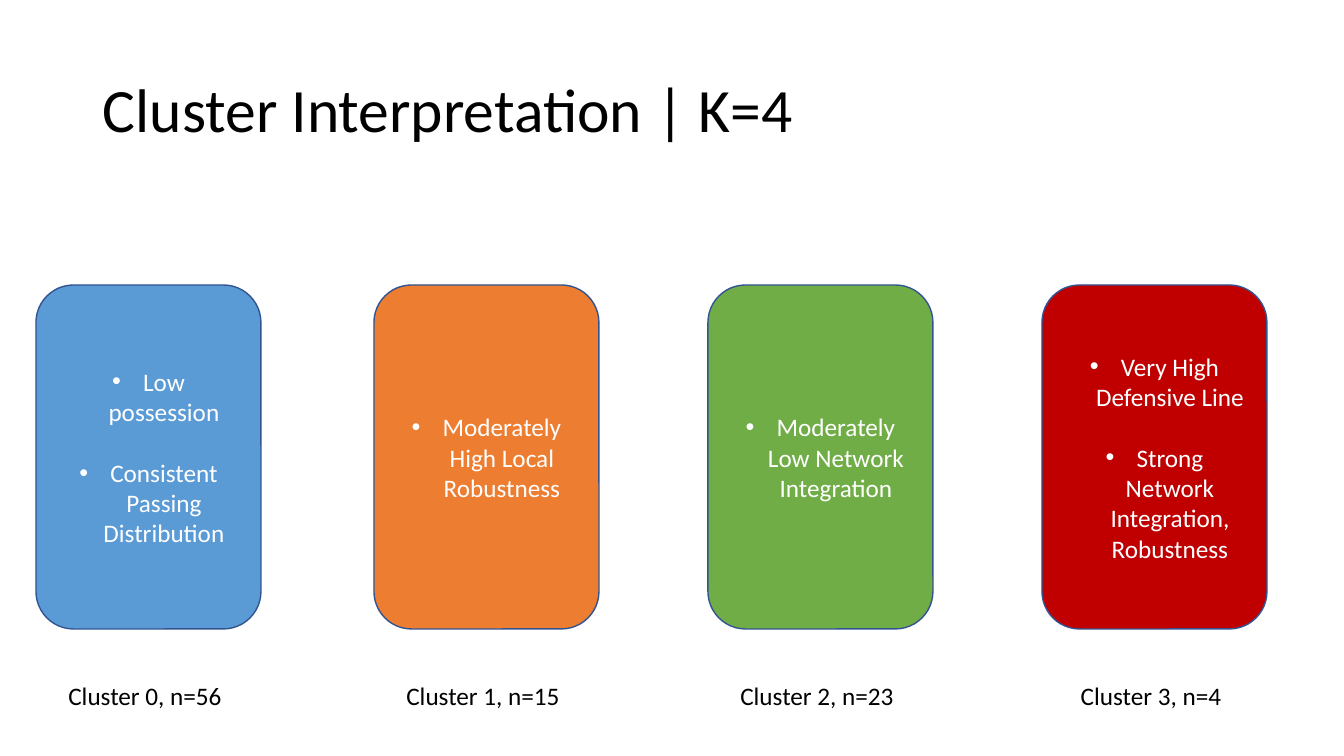
from lxml import etree
from pptx import Presentation, util as u
from pptx.dml.color import RGBColor
from pptx.enum import shapes, text
from pptx.oxml import ns

PX = 914400 / 100.8
FONT = "Calibri"
BLACK, WHITE, OUTLINE = "000000", "FFFFFF", "325491"

CARD_TOP, CARD_WIDTH, CARD_HEIGHT = 285, 225, 344
LABEL_TOP, LABEL_WIDTH, LABEL_HEIGHT = 675, 198, 40
LABEL_OFFSET = 10
BULLET_INDENT = 31

# left edge, fill, traits, label
CLUSTERS = [
    (36, "5B9BD5", ["Low possession", "Consistent Passing Distribution"],
     "Cluster 0, n=56"),
    (374, "ED7D31", ["Moderately High Local Robustness"], "Cluster 1, n=15"),
    (708, "70AD47", ["Moderately Low Network Integration"], "Cluster 2, n=23"),
    (1042, "C00000",
     ["Very High Defensive Line", "Strong Network Integration, Robustness"],
     "Cluster 3, n=4"),
]


def px(length):
    return u.Emu(round(length * PX))


def rgb(hex_code):
    return RGBColor.from_string(hex_code)


def style_runs(paragraph, size, color):
    for run in paragraph.runs:
        run.font.name = FONT
        run.font.size = u.Pt(size)
        run.font.color.rgb = rgb(color)


def add_bullet(paragraph):
    """Give the paragraph a round bullet with a hanging indent."""
    properties = paragraph._p.get_or_add_pPr()
    indent = px(BULLET_INDENT)
    properties.set("marL", str(indent))
    properties.set("indent", str(-indent))
    etree.SubElement(properties, ns.qn("a:buFont")).set("typeface", "Arial")
    etree.SubElement(properties, ns.qn("a:buChar")).set("char", "•")


def add_text(slide, wording, left, top, width, height, size,
             align=text.PP_ALIGN.LEFT, anchor=text.MSO_ANCHOR.TOP):
    box = slide.shapes.add_textbox(px(left), px(top), px(width), px(height))
    frame = box.text_frame
    frame.word_wrap = True
    frame.vertical_anchor = anchor
    frame.text = wording
    line = frame.paragraphs[0]
    line.alignment = align
    style_runs(line, size, BLACK)
    return line


def add_card(slide, left, fill, traits):
    card = slide.shapes.add_shape(
        shapes.MSO_SHAPE.ROUNDED_RECTANGLE,
        px(left), px(CARD_TOP), px(CARD_WIDTH), px(CARD_HEIGHT))
    card.shadow.inherit = False
    card.fill.solid()
    card.fill.fore_color.rgb = rgb(fill)
    card.line.color.rgb = rgb(OUTLINE)
    card.line.width = u.Pt(1)

    frame = card.text_frame
    frame.word_wrap = True
    frame.vertical_anchor = text.MSO_ANCHOR.MIDDLE
    frame.text = "\n".join(traits)
    for position, trait in enumerate(frame.paragraphs):
        trait.alignment = text.PP_ALIGN.CENTER
        if position:
            trait.space_before = u.Pt(22)
        add_bullet(trait)
        style_runs(trait, 18, WHITE)


def main():
    deck = Presentation()
    deck.slide_width, deck.slide_height = px(1344), px(756)
    slide = deck.slides.add_slide(deck.slide_layouts[6])

    title = add_text(slide, "Cluster Interpretation | K=4", 93, 40, 1159, 146,
                     44, anchor=text.MSO_ANCHOR.MIDDLE)
    title.line_spacing = 0.9

    for left, fill, traits, label in CLUSTERS:
        add_card(slide, left, fill, traits)
        add_text(slide, label, left + LABEL_OFFSET, LABEL_TOP, LABEL_WIDTH,
                 LABEL_HEIGHT, 18, align=text.PP_ALIGN.CENTER)

    deck.save("out.pptx")


if __name__ == "__main__":
    main()
